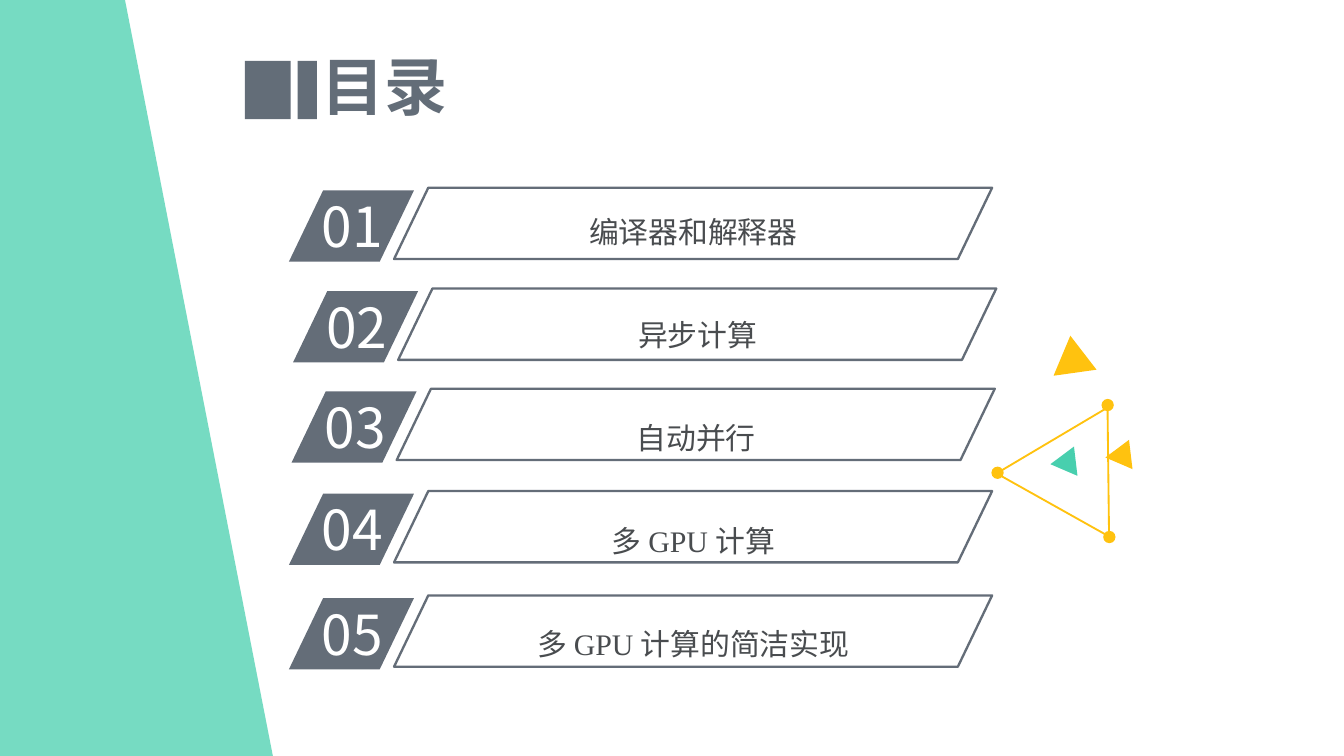
"""Build the contents slide with five numbered sections."""
from lxml import etree
from pptx import Presentation
from pptx.dml.color import RGBColor
from pptx.enum.shapes import MSO_SHAPE
from pptx.enum.text import MSO_ANCHOR, PP_ALIGN
from pptx.oxml.ns import qn
from pptx.util import Pt

RECTANGLE = MSO_SHAPE.RECTANGLE
TRIANGLE = MSO_SHAPE.ISOSCELES_TRIANGLE
OVAL = MSO_SHAPE.OVAL
PARALLELOGRAM = MSO_SHAPE.PARALLELOGRAM
LEFT, CENTER = PP_ALIGN.LEFT, PP_ALIGN.CENTER
TOP, MIDDLE = MSO_ANCHOR.TOP, MSO_ANCHOR.MIDDLE

WIDTH, HEIGHT = 720, 405
SANS, SERIF = "Noto Sans CJK SC", "Times New Roman"
SLATE, TITLE_SLATE, TEXT_GRAY = "646D78", "636D78", "494C4F"
GREEN, YELLOW, WHITE = "49CFAE", "FFC20F", "FFFFFF"

TITLE = "目录"
SECTIONS = [
    ("编译器和解释器", 154.8, 102),
    ("异步计算", 157, 156),
    ("自动并行", 156.2, 209.7),
    ("多 GPU 计算", 154.8, 264.5),
    ("多 GPU 计算的简洁实现", 154.8, 320.4),
]
LABEL_TOP, LABEL_PITCH = 102.2, 55.1
TITLE_BARS = [(131.2, 24.6), (159.4, 10.4)]
BAND = [(0, 0), (67, 0), (146.2, HEIGHT), (0, HEIGHT)]
SOLID_TRIANGLES = [
    (560.9, 185, 23, 20.2, 232.4, YELLOW),
    (565.2, 242.6, 15.8, 13.7, 143.3, "48CFAE"),
    (594.7, 239, 15.8, 13.7, 143.3, YELLOW),
]
FRAME_TRIANGLE = (544.3, 231.8, 69.1, 59.8, 149.3)
DOT_SIZE = 6.6
DOT_CENTERS = [(593.4, 217), (594.3, 287.7), (534.4, 253.3)]


def color(value):
    return RGBColor.from_string(value)


def paint(shape, fill=None, line=None, weight=1):
    shape.shadow.inherit = False
    if fill:
        shape.fill.solid()
        shape.fill.fore_color.rgb = color(fill)
    else:
        shape.fill.background()
    if line:
        shape.line.color.rgb = color(line)
        shape.line.width = Pt(weight)
    else:
        shape.line.fill.background()


def add_shape(slide, kind, box, fill=None, line=None, weight=1, rotation=0):
    shape = slide.shapes.add_shape(kind, *map(Pt, box))
    shape.rotation = rotation
    paint(shape, fill, line, weight)
    return shape


def add_text(slide, text, box, size, font_name, ink, align=LEFT, anchor=TOP,
             margins=(7.2, 3.6), spacing=1, bold=False):
    frame = slide.shapes.add_textbox(*map(Pt, box)).text_frame
    frame.word_wrap = True
    frame.vertical_anchor = anchor
    frame.margin_left = frame.margin_right = Pt(margins[0])
    frame.margin_top = frame.margin_bottom = Pt(margins[1])
    frame.text = text
    paragraph = frame.paragraphs[0]
    paragraph.alignment = align
    paragraph.line_spacing = spacing
    run = paragraph.runs[0]
    run.font.name = font_name
    run.font.size = Pt(size)
    run.font.bold = bold
    run.font.color.rgb = color(ink)
    east_asian = etree.Element(qn("a:ea"), typeface=SANS)
    run.font._element.find(qn("a:latin")).addnext(east_asian)


def add_band(slide):
    builder = slide.shapes.build_freeform(*map(Pt, BAND[0]))
    builder.add_line_segments([(Pt(x), Pt(y)) for x, y in BAND[1:]], close=True)
    band = builder.convert_to_shape()
    paint(band, GREEN)
    fill_color = band._element.spPr.find(".//" + qn("a:srgbClr"))
    etree.SubElement(fill_color, qn("a:alpha"), val="75000")


def add_title(slide):
    add_text(slide, TITLE, (112.3, 25.2, 187.2, 41), 33.8, SANS, TITLE_SLATE,
             CENTER, MIDDLE, bold=True)
    for left, width in TITLE_BARS:
        add_shape(slide, RECTANGLE, (left, 32.6, width, 31.2), TITLE_SLATE)


def add_section(slide, index, label, left, top):
    tab = add_shape(slide, PARALLELOGRAM, (left, top, 67, 38.2), SLATE)
    add_text(slide, f"{index + 1:02}", (left + 10.6, top - 2.4, 63.4, 43.2),
             29.5, SANS, WHITE)
    label_box = (left + 99.3, LABEL_TOP + index * LABEL_PITCH, 234.8, 31)
    add_text(slide, label, label_box, 16, SERIF, TEXT_GRAY, CENTER,
             margins=(5.8, 2.9), spacing=1.5)
    outline = add_shape(slide, PARALLELOGRAM, (left + 56.3, top - 1.4, 320.4, 38.2),
                        line=SLATE, weight=1.25)
    for shape in (tab, outline):
        shape.adjustments[0] = 0.48


def add_ornament(slide):
    for *box, rotation, fill in SOLID_TRIANGLES:
        add_shape(slide, TRIANGLE, box, fill, rotation=rotation)
    *box, rotation = FRAME_TRIANGLE
    add_shape(slide, TRIANGLE, box, line=YELLOW, rotation=rotation)
    for x, y in DOT_CENTERS:
        dot_box = (x - DOT_SIZE / 2, y - DOT_SIZE / 2, DOT_SIZE, DOT_SIZE)
        add_shape(slide, OVAL, dot_box, YELLOW)


def main():
    presentation = Presentation()
    presentation.slide_width, presentation.slide_height = Pt(WIDTH), Pt(HEIGHT)
    slide = presentation.slides.add_slide(presentation.slide_layouts[6])
    add_ornament(slide)
    add_title(slide)
    add_band(slide)
    for index, section in enumerate(SECTIONS):
        add_section(slide, index, *section)
    presentation.save("out.pptx")


if __name__ == "__main__":
    main()
